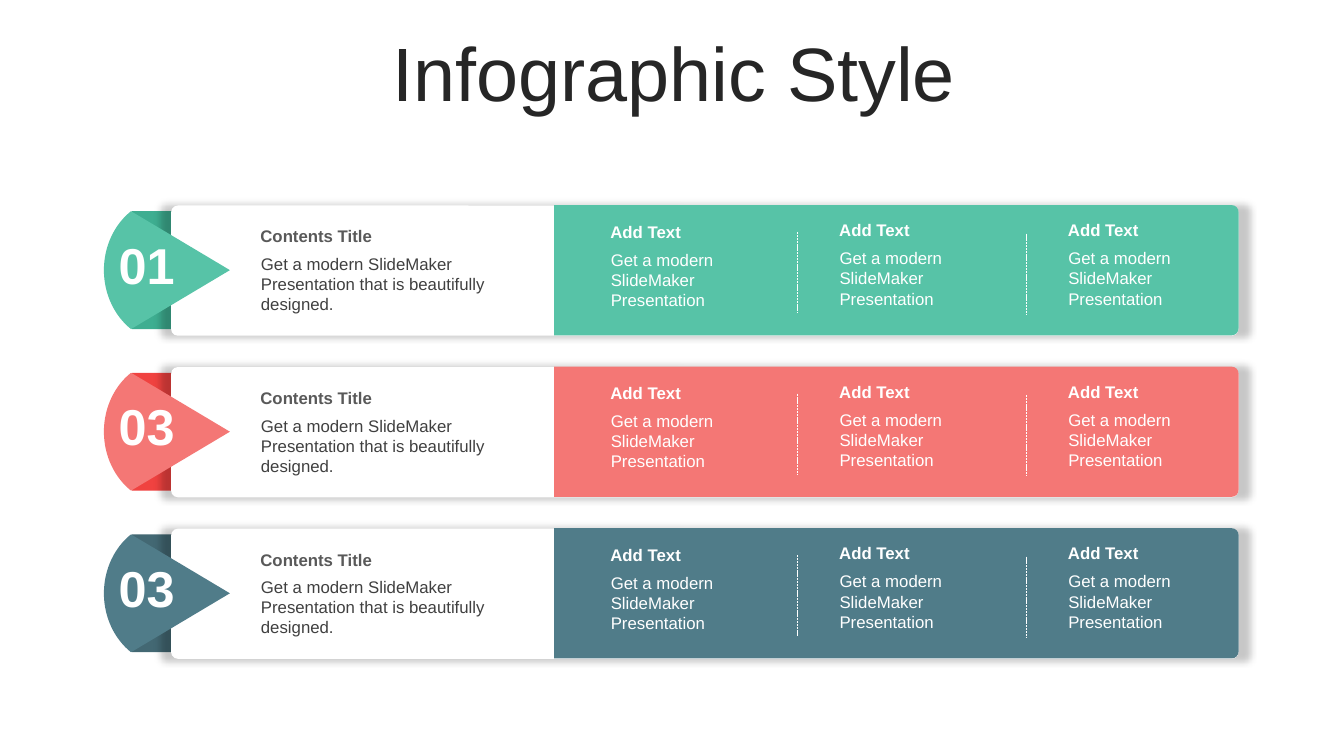
import lxml.etree
import pptx
import pptx.dml.color
import pptx.enum.dml
import pptx.enum.shapes
import pptx.enum.text
import pptx.oxml.ns
import pptx.util

RGBColor = pptx.dml.color.RGBColor
Pt = pptx.util.Pt
qn = pptx.oxml.ns.qn
Anchor = pptx.enum.text.MSO_ANCHOR
Preset = pptx.enum.shapes.MSO_SHAPE

WHITE = RGBColor(0xFF, 0xFF, 0xFF)
TITLE_INK = RGBColor(0x26, 0x26, 0x26)
HEADING_INK = RGBColor(0x59, 0x59, 0x59)
BODY_INK = RGBColor(0x40, 0x40, 0x40)
GREEN = RGBColor(0x57, 0xC3, 0xA7)
DARK_GREEN = RGBColor(0x3E, 0xAE, 0x91)
CORAL = RGBColor(0xF4, 0x77, 0x75)
DARK_CORAL = RGBColor(0xF0, 0x42, 0x40)
TEAL = RGBColor(0x50, 0x7C, 0x89)
DARK_TEAL = RGBColor(0x43, 0x68, 0x73)

FONT = "Arial"
CARD_LEFT, CARD_TOP, CARD_WIDTH, CARD_HEIGHT = 122.2, 146.8, 762.5, 93
ROW_PITCH = 115.4
COLUMN_PITCH = 163.4
CORNER = 4.9
BODY_INSET, HEADING_INSET = 7.2, 8.5

ROWS = [
    ("01", GREEN, DARK_GREEN),
    ("03", CORAL, DARK_CORAL),
    ("03", TEAL, DARK_TEAL),
]
CONTENTS = ("Contents Title",
            "Get a modern SlideMaker Presentation that is beautifully designed.")
COLUMNS = [("Add Text", "Get a modern SlideMaker Presentation")] * 3


def add_text(slide, text, left, top, width, height, size, color,
             bold=False, inset=BODY_INSET, anchor=Anchor.TOP):
    box = slide.shapes.add_textbox(Pt(left), Pt(top), Pt(width), Pt(height))
    frame = box.text_frame
    frame.word_wrap = True
    frame.vertical_anchor = anchor
    frame.margin_left = frame.margin_right = Pt(inset)
    frame.margin_top = frame.margin_bottom = Pt(3.6)
    frame.text = text
    font = frame.paragraphs[0].runs[0].font
    font.name, font.size, font.bold = FONT, Pt(size), bold
    font.color.rgb = color
    return frame.paragraphs[0]


def paint(shape, color):
    shape.shadow.inherit = False
    shape.fill.solid()
    shape.fill.fore_color.rgb = color
    shape.line.fill.background()


def add_block(slide, preset, left, top, width, height, color):
    block = slide.shapes.add_shape(preset, Pt(left), Pt(top), Pt(width), Pt(height))
    paint(block, color)
    return block


def add_outline(slide, left, top, start, segments, color):
    """Filled outline; a segment of one point is a line, one of three a Bezier curve."""
    def place(point):
        return Pt(left + point[0]), Pt(top + point[1])

    builder = slide.shapes.build_freeform(*place(start), scale=1.0)
    builder.add_line_segments([place(p) for segment in segments for p in segment])
    outline = builder.convert_to_shape()
    paint(outline, color)

    steps = iter(list(outline.element.spPr.iter(qn("a:lnTo"))))
    for segment in segments:
        first, *rest = [next(steps) for _ in segment]
        if rest:
            first.tag = qn("a:cubicBezTo")
            for step in rest:
                first.append(step[0])
                step.getparent().remove(step)


def add_soft_shadow(shape):
    effects = shape.element.spPr.find(qn("a:effectLst"))
    shadow = lxml.etree.SubElement(
        effects, qn("a:outerShdw"), blurRad=str(Pt(5)),
        sx="102000", sy="102000", algn="ctr", rotWithShape="0")
    black = lxml.etree.SubElement(shadow, qn("a:srgbClr"), val="000000")
    lxml.etree.SubElement(black, qn("a:alpha"), val="22000")


def add_divider(slide, x, top, height):
    divider = slide.shapes.add_connector(
        pptx.enum.shapes.MSO_CONNECTOR.STRAIGHT, Pt(x), Pt(top), Pt(x), Pt(top + height))
    divider.line.color.rgb = WHITE
    divider.line.width = Pt(0.5)
    divider.line.dash_style = pptx.enum.dml.MSO_LINE.SQUARE_DOT
    lxml.etree.SubElement(divider.element.spPr, qn("a:effectLst"))


def add_wedge(slide, left, top, color):
    """Pointer with a rounded back, placed against the card's top left corner."""
    middle = 46.2
    back = -48
    add_outline(slide, left, top, (42, middle), [
        [(-28.6, middle + 42.1)],
        [(-40.1, middle + 33), (back, middle + 17.5), (back, middle)],
        [(back, middle - 17.5), (-40.1, middle - 33), (-28.6, middle - 42.1)],
        [(42, middle)],
    ], color)


def add_panel(slide, left, top, width, height, color):
    """Block with its two right-hand corners rounded."""
    bend = CORNER * 0.45
    add_outline(slide, left, top, (0, 0), [
        [(width - CORNER, 0)],
        [(width - bend, 0), (width, bend), (width, CORNER)],
        [(width, height - CORNER)],
        [(width, height - bend), (width - bend, height), (width - CORNER, height)],
        [(0, height)],
        [(0, 0)],
    ], color)


def add_column(slide, left, top, heading, body):
    add_text(slide, body, left + 1.7, top + 20, 118.8, 51, 12, WHITE)
    add_text(slide, heading, left, top, 118.8, 21.8, 12, WHITE, True, HEADING_INSET)


def add_row(slide, left, top, number, color, dark):
    add_block(slide, Preset.RECTANGLE, left - 28.1, top + 4.1, 173.5, 84.2, dark)
    card = add_block(slide, Preset.ROUNDED_RECTANGLE,
                     left, top, CARD_WIDTH, CARD_HEIGHT, WHITE)
    card.adjustments[0] = CORNER / CARD_HEIGHT
    add_soft_shadow(card)
    add_wedge(slide, left, top, color)
    add_panel(slide, left + 273.6, top - 0.3, CARD_WIDTH - 273.6, CARD_HEIGHT, color)

    heading, body = CONTENTS
    add_text(slide, body, left + 57.1, top + 30.5, 200.2, 51, 12, BODY_INK,
             anchor=Anchor.MIDDLE)
    add_text(slide, heading, left + 55.3, top + 11, 200.9, 21.8, 12, HEADING_INK,
             True, HEADING_INSET, Anchor.MIDDLE)

    for index, (heading, body) in enumerate(COLUMNS):
        column_left = left + 305.3 + index * COLUMN_PITCH
        add_column(slide, column_left, top + (7.7 if index == 0 else 6.8), heading, body)
        if index < len(COLUMNS) - 1:
            add_divider(slide, column_left + 142, top + 19 + index, 58)

    add_text(slide, number, left - 46, top + 16.8, 90, 51, 36, WHITE,
             True, HEADING_INSET)


def add_title(slide, left, top, width, height):
    title = add_text(slide, "Infographic Style", left, top, width, height,
                     54, TITLE_INK, anchor=Anchor.MIDDLE)
    title.alignment = pptx.enum.text.PP_ALIGN.CENTER
    title.line_spacing = 0.9


def main():
    deck = pptx.Presentation()
    deck.slide_width, deck.slide_height = Pt(960), Pt(540)
    slide = deck.slides.add_slide(deck.slide_layouts[6])
    add_title(slide, 25.6, 26.6, 911.5, 56.9)
    for index, row in enumerate(ROWS):
        add_row(slide, CARD_LEFT, CARD_TOP + index * ROW_PITCH, *row)
    deck.save("out.pptx")


if __name__ == "__main__":
    main()
